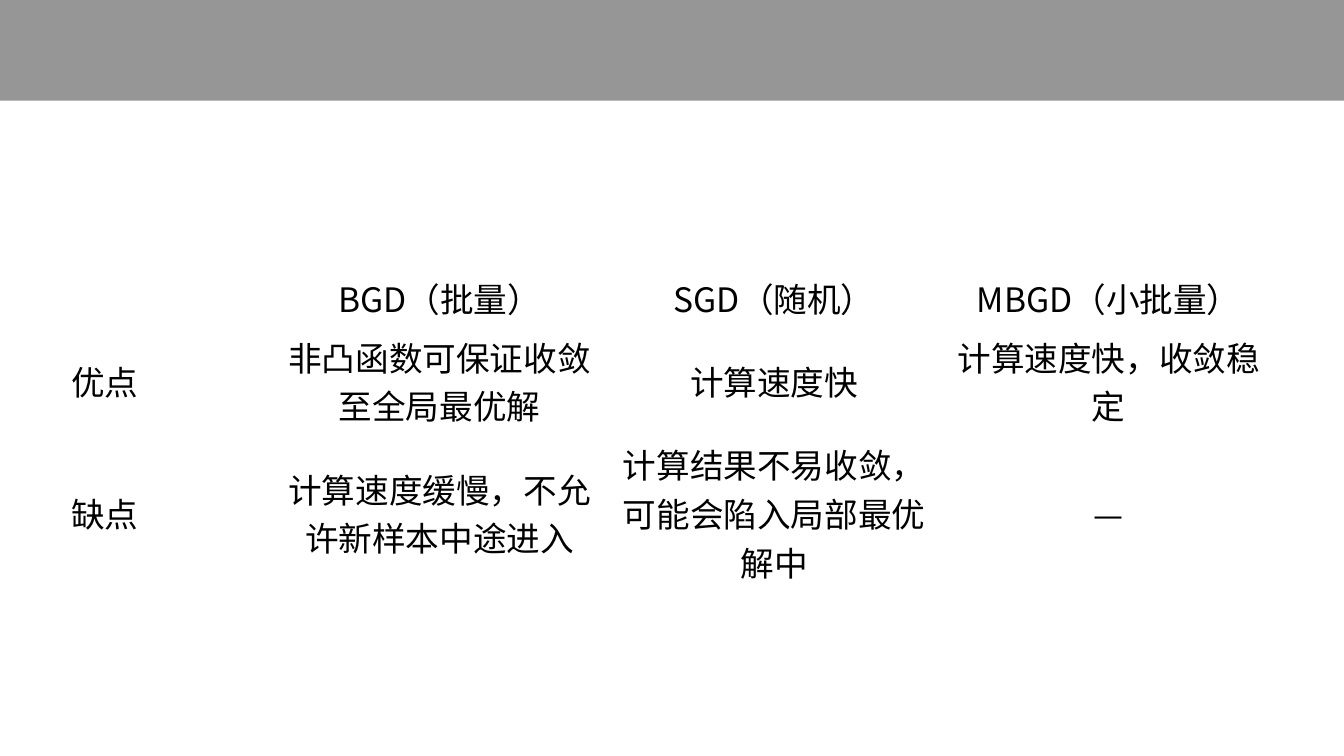
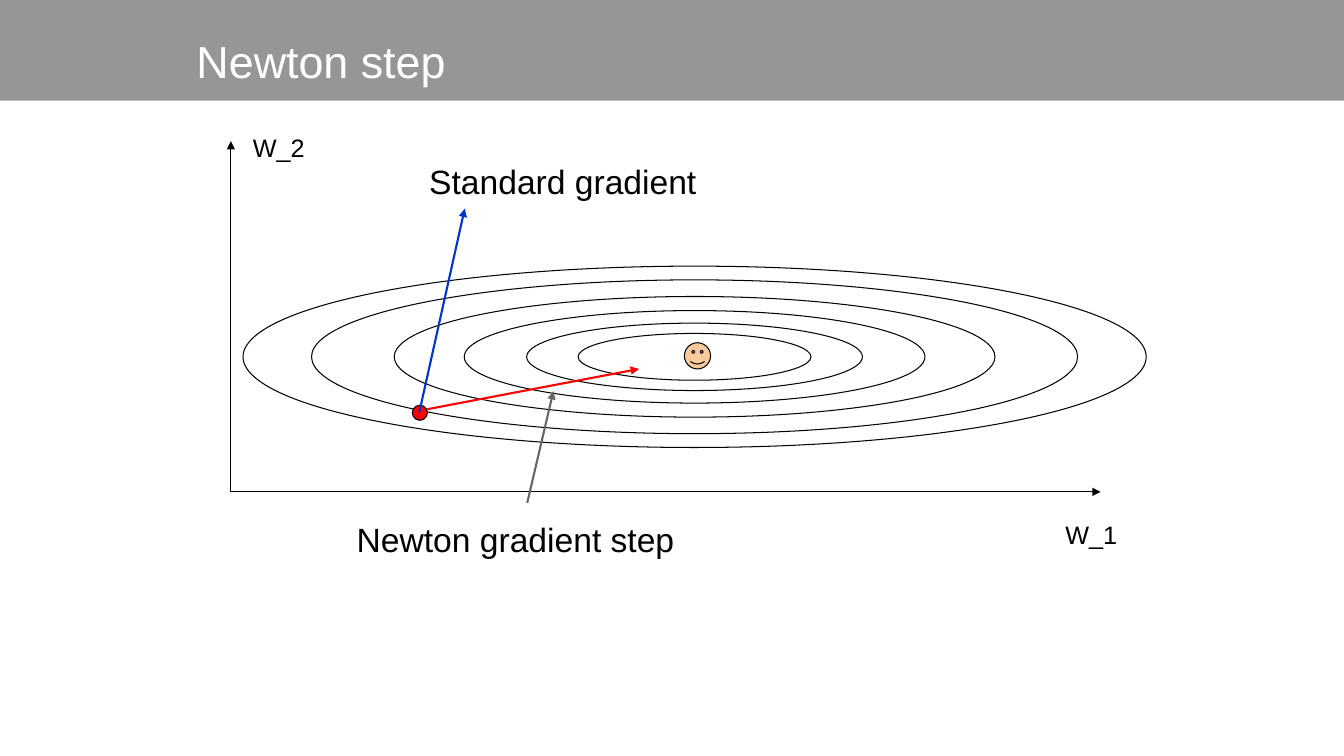
from lxml import etree
from pptx import Presentation
from pptx import util as u
from pptx.dml.color import RGBColor
from pptx.enum import shapes, text
from pptx.oxml.ns import qn

presentation = Presentation()
presentation.slide_width = u.Inches(13.33)
presentation.slide_height = u.Inches(7.5)

BLACK, WHITE, GRAY, RED = "000000", "FFFFFF", "969696", "FF0000"
LATIN, CHINESE = "Arial", "Noto Sans CJK SC"


def color(value):
    return RGBColor.from_string(value)


def percent(*shares):
    sides = (presentation.slide_width, presentation.slide_height)
    return [int(share * sides[i % 2] / 100) for i, share in enumerate(shares)]


for _ in range(2):
    slide = presentation.slides.add_slide(presentation.slide_layouts[6])
    band = slide.shapes.add_shape(
        shapes.MSO_SHAPE.RECTANGLE, *percent(0, 0, 100, 13.33)
    )
    band.shadow.inherit = False
    band.fill.solid()
    band.fill.fore_color.rgb = color(GRAY)
    band.line.fill.background()

comparison, newton = presentation.slides

rows = [
    ("", "BGD（批量）", "SGD（随机）", "MBGD（小批量）"),
    ("优点", "非凸函数可保证收敛至全局最优解", "计算速度快", "计算速度快，收敛稳定"),
    ("缺点", "计算速度缓慢，不允许新样本中途进入", "计算结果不易收敛，可能会陷入局部最优解中", "—"),
]
row_shares = (7.73, 14.13, 20.53)
table = comparison.shapes.add_table(
    len(rows), len(rows[0]), *percent(-4.65, 35.47, 99.6, sum(row_shares))
).table
for name in ("first_row", "horz_banding"):
    setattr(table, name, False)
for row, share, values in zip(table.rows, row_shares, rows):
    row.height = percent(0, share)[1]
    for cell, value in zip(row.cells, values):
        cell.fill.background()
        cell.vertical_anchor = text.MSO_ANCHOR.MIDDLE
        if not value:
            continue
        paragraph = cell.text_frame.paragraphs[0]
        paragraph.alignment = text.PP_ALIGN.CENTER
        run = paragraph.add_run()
        run.text = value
        for name, setting in {"size": u.Pt(24), "name": CHINESE}.items():
            setattr(run.font, name, setting)
        run.font.color.rgb = color(BLACK)
        east_asian = etree.SubElement(run._r.get_or_add_rPr(), qn("a:ea"))
        east_asian.set("typeface", CHINESE)

center_x, center_y = 51.68, 47.2
contour_ratio = 0.357
contour_widths = (67.2, 57, 44.7, 34.28, 24.98, 17.33)
oval, smiley = shapes.MSO_SHAPE.OVAL, shapes.MSO_SHAPE.SMILEY_FACE
figures = [
    (oval, center_x, center_y, width, width * contour_ratio, None)
    for width in contour_widths
]
figures += [
    (oval, 31.24, 54.6, 1.13, 2, RED),
    (smiley, 51.9, 47.07, 1.95, 3.47, "F9CB9C"),
]
for kind, x, y, width, height, fill in figures:
    shape = newton.shapes.add_shape(
        kind, *percent(x - width / 2, y - height / 2, width, height)
    )
    shape.shadow.inherit = False
    if fill:
        shape.fill.solid()
        shape.fill.fore_color.rgb = color(fill)
    else:
        shape.fill.background()
    shape.line.color.rgb = color(BLACK)
    shape.line.width = u.Pt(0.75)

origin = (17.18, 65.07)
arrows = [
    (*origin, 17.18, 18.67, BLACK, 0.75),
    (*origin, 81.9, 65.07, BLACK, 0.75),
    (39.23, 66.53, 41.18, 51.73, "666666", 1.5),
    (31.2, 54.53, 34.58, 27.6, "0033CC", 1.5),
    (31.8, 54.13, 47.55, 48.8, RED, 1.5),
]
for *ends, stroke, weight in arrows:
    arrow = newton.shapes.add_connector(
        shapes.MSO_CONNECTOR.STRAIGHT, *percent(*ends)
    )
    arrow.line.color.rgb = color(stroke)
    arrow.line.width = u.Pt(weight)
    head = etree.SubElement(arrow.line._get_or_add_ln(), qn("a:tailEnd"))
    head.set("type", "triangle")
    etree.SubElement(arrow._element.spPr, qn("a:effectLst"))

labels = [
    ("Newton step", 13.88, 3.07, 72.38, 12.13, 32, WHITE),
    ("Standard gradient", 31.2, 20, 40.73, 7.6, 24, BLACK),
    ("Newton gradient step", 25.8, 67.33, 40.73, 7.6, 24, BLACK),
    ("W_1", 78.53, 67.33, 7.65, 5.87, 18, BLACK),
    ("W_2", 18.08, 16.13, 7.65, 5.87, 18, BLACK),
]
frame_format = {
    "word_wrap": True,
    "margin_left": u.Inches(0.1),
    "margin_top": u.Inches(0.1),
    "margin_right": u.Inches(0.1),
    "margin_bottom": u.Inches(0.1),
}
for words, x, y, width, height, size, ink in labels:
    frame = newton.shapes.add_textbox(*percent(x, y, width, height)).text_frame
    for name, setting in frame_format.items():
        setattr(frame, name, setting)
    run = frame.paragraphs[0].add_run()
    run.text = words
    for name, setting in {"size": u.Pt(size), "name": LATIN}.items():
        setattr(run.font, name, setting)
    run.font.color.rgb = color(ink)

presentation.save("out.pptx")
